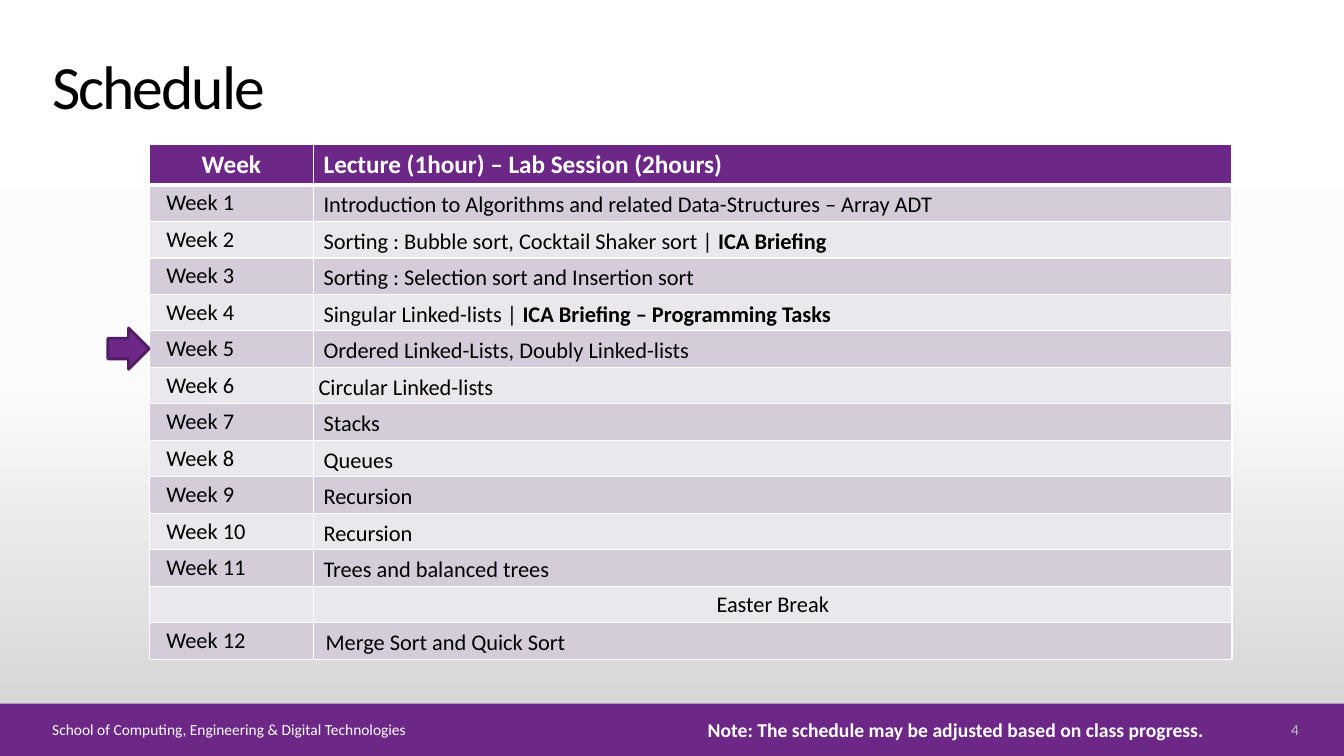
from collections import namedtuple
from dataclasses import dataclass

from pptx import Presentation as Deck
from pptx.dml.color import RGBColor as Rgb
from pptx.enum.shapes import MSO_SHAPE as Form
from pptx.enum.text import MSO_ANCHOR as Anchor, PP_ALIGN as Align
from pptx.oxml import parse_xml as to_xml
from pptx.oxml.ns import nsdecls as names
from pptx.util import Inches, Pt

CELL = Inches(0.1)  # one grid cell; the slide is 133.3 columns by 75 rows
Box = namedtuple("Box", "x y w h")


@dataclass(frozen=True)
class Theme:
    font: str = "Calibri"
    main: str = "6C2787"
    edge: str = "501D64"
    dark: str = "000000"
    light: str = "FFFFFF"
    faint: str = "BFBFBF"
    bands: tuple = ("D4CDD9", "EBE8ED")
    sky: tuple = ((0, "FFFFFF"), (50, "FBFBFB"), (100, "D1D1D1"))
    title: int = 44
    head: int = 18
    body: int = 16
    note: int = 14
    foot: int = 11


T = Theme()
PAGE = Box(0, 0, 133.3, 75)
NOW = 5  # the row that the arrow marks

# Week, left inset in cells, then plain and bold text
WEEKS = [
    ("Week 1", 1, "Introduction to Algorithms and related Data-Structures – Array ADT"),
    ("Week 2", 1, "Sorting : Bubble sort, Cocktail Shaker sort | ", "ICA Briefing"),
    ("Week 3", 1, "Sorting : Selection sort and Insertion sort"),
    ("Week 4", 1, "Singular Linked-lists | ", "ICA Briefing – Programming Tasks"),
    ("Week 5", 1, "Ordered Linked-Lists, Doubly Linked-lists"),
    ("Week 6", 0.5, "Circular Linked-lists"),
    ("Week 7", 1, "Stacks"),
    ("Week 8", 1, "Queues"),
    ("Week 9", 1, "Recursion"),
    ("Week 10", 1, "Recursion"),
    ("Week 11", 1, "Trees and balanced trees"),
    ("", 1, "Easter Break"),
    ("Week 12", 1.2, "Merge Sort and Quick Sort"),
]


def size(n):
    return round(n * CELL)


def within(box, x, y, w, h):
    """Place a part in a box, in grid cells from its top left corner."""
    return Box(box.x + x, box.y + y, w, h)


def spot(box):
    return [size(n) for n in box]


def write(frame, *runs, pt=T.body, color=T.dark, bold=(False, True),
          align=Align.LEFT, lead=None, track=None):
    """Fill a text frame; bold holds one flag for each run."""
    para = frame.paragraphs[0]
    para.alignment = align
    para.line_spacing = lead
    for text, thick in zip(runs, bold):
        run = para.add_run()
        run.text = text
        font = run.font
        font.name, font.size, font.bold = T.font, Pt(pt), thick
        font.color.rgb = Rgb.from_string(color)
        if track:
            font._element.set("spc", str(track))


def label(slide, box, text, wrap=True, anchor=Anchor.MIDDLE, **form):
    frame = slide.shapes.add_textbox(*spot(box)).text_frame
    frame.word_wrap = wrap
    frame.vertical_anchor = anchor
    write(frame, text, **form)


def block(slide, form, box, line=None):
    shape = slide.shapes.add_shape(form, *spot(box))
    shape.shadow.inherit = False
    shape.fill.solid()
    shape.fill.fore_color.rgb = Rgb.from_string(T.main)
    if line:
        shape.line.color.rgb = Rgb.from_string(line)
        shape.line.width = Pt(2)
    else:
        shape.line.fill.background()


def dress(cell, fill, base=1):
    """Fill a cell and give it white borders; base is the lower one in points."""
    props = cell._tc.get_or_add_tcPr()
    for side, width in (("L", 1), ("R", 1), ("T", 1), ("B", base)):
        props.append(to_xml(
            f'<a:ln{side} {names("a")} w="{Pt(width)}"><a:solidFill>'
            f'<a:srgbClr val="{T.light}"/></a:solidFill></a:ln{side}>'))
    cell.fill.solid()
    cell.fill.fore_color.rgb = Rgb.from_string(fill)


def inset(cell, left):
    cell.vertical_anchor = Anchor.MIDDLE
    cell.margin_left = size(left)
    cell.margin_right = cell.margin_top = cell.margin_bottom = 0


def sky(slide):
    stops = "".join(f'<a:gs pos="{at * 1000}"><a:srgbClr val="{tone}"/></a:gs>'
                    for at, tone in T.sky)
    back = to_xml(
        f'<p:bg {names("p", "a")}><p:bgPr><a:gradFill rotWithShape="1">'
        f'<a:gsLst>{stops}</a:gsLst><a:lin ang="5400000" scaled="0"/>'
        f'</a:gradFill><a:effectLst/></p:bgPr></p:bg>')
    slide._element.cSld.insert(0, back)


def header(slide, box):
    title = slide.shapes.title
    title.left, title.top, title.width, title.height = spot(box)
    frame = title.text_frame
    frame.vertical_anchor = Anchor.BOTTOM
    write(frame, "Schedule", pt=T.title, lead=0.9, track=-150)


def plan(slide, box):
    top, step, split = 4, 3.62, 16.3
    frame = slide.shapes.add_table(len(WEEKS) + 1, 2, *spot(box))
    table = frame.table
    for col, wide in zip(table.columns, (split, box.w - split)):
        col.width = size(wide)
    for i, row in enumerate(table.rows):
        row.height = size(step if i else top)

    # Heading row
    heads = (("Week", Align.CENTER),
             ("Lecture (1hour) – Lab Session (2hours)", Align.LEFT))
    for cell, (text, align) in zip(table.rows[0].cells, heads):
        dress(cell, T.main, base=3)
        write(cell.text_frame, text, pt=T.head, color=T.light,
              bold=(True,), align=align)

    # Weeks in alternating bands
    for i, (week, left, *runs) in enumerate(WEEKS):
        first, second = table.rows[i + 1].cells
        for cell, pad in ((first, 1.7), (second, left)):
            dress(cell, T.bands[i % 2])
            inset(cell, pad)
        write(first.text_frame, week)
        if week:
            write(second.text_frame, *runs, lead=1.15)
        else:
            second.margin_right = second.margin_left
            write(second.text_frame, *runs, align=Align.CENTER)

    # Arrow at the present week
    side = 4.1
    mid = top + (NOW - 0.5) * step
    block(slide, Form.RIGHT_ARROW,
          within(box, -side, mid - side / 2, side, side), line=T.edge)


def footer(slide, box):
    block(slide, Form.RECTANGLE, box)
    label(slide, within(box, 4.2, 1.4, 60, 2.3),
          "School of Computing, Engineering & Digital Technologies",
          pt=T.foot, color=T.light)
    label(slide, within(box, 122.3, 1.4, 7.5, 2.3), "4",
          pt=T.foot, color=T.faint, align=Align.RIGHT)
    label(slide, within(box, 69.2, 0.9, 51.5, 3.4),
          "Note: The schedule may be adjusted based on class progress.",
          wrap=False, anchor=Anchor.TOP, pt=T.note, color=T.light, bold=(True,))


def main():
    deck = Deck()
    deck.slide_width, deck.slide_height = size(PAGE.w), size(PAGE.h)
    slide = deck.slides.add_slide(deck.slide_layouts[5])
    sky(slide)
    header(slide, within(PAGE, 4.2, 4, 104, 8.7))
    plan(slide, within(PAGE, 14.8, 14.3, 107.4, 50.9))
    footer(slide, within(PAGE, 0, 69.8, PAGE.w, 5.2))
    deck.save("out.pptx")


if __name__ == "__main__":
    main()
